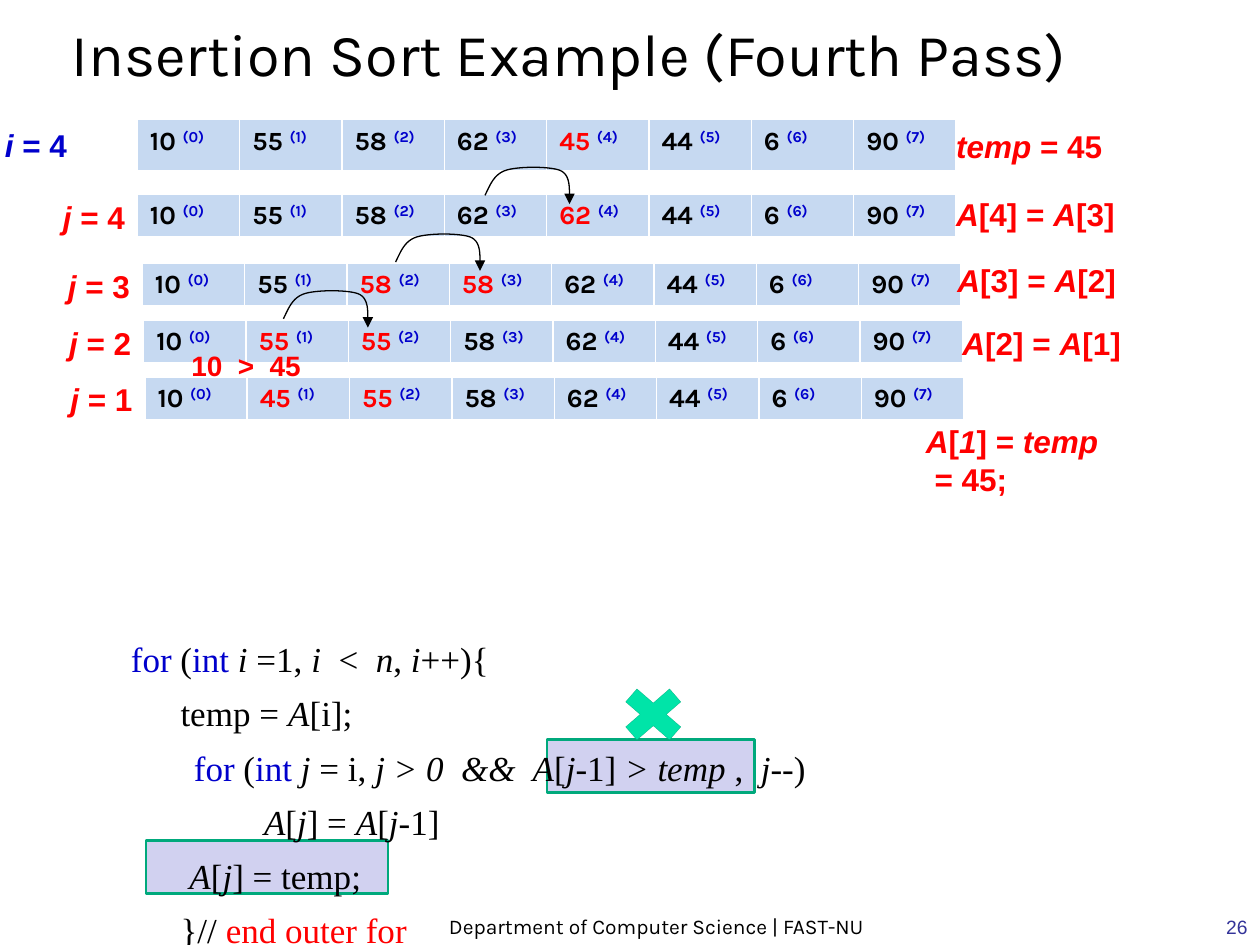
from lxml import etree
from pptx import Presentation
from pptx.dml.color import RGBColor
from pptx.enum.shapes import MSO_CONNECTOR, MSO_SHAPE
from pptx.enum.text import MSO_ANCHOR, MSO_AUTO_SIZE, PP_ALIGN
from pptx.oxml.ns import qn
from pptx.util import Inches, Pt

RECT, CROSS = MSO_SHAPE.RECTANGLE, MSO_SHAPE.MATH_MULTIPLY
LINE = MSO_CONNECTOR.STRAIGHT
BOTTOM, TOP = MSO_ANCHOR.BOTTOM, MSO_ANCHOR.TOP
LEFT, CENTER, RIGHT = PP_ALIGN.LEFT, PP_ALIGN.CENTER, PP_ALIGN.RIGHT
FIT = MSO_AUTO_SIZE.SHAPE_TO_FIT_TEXT

BLACK, WHITE, RED, BLUE = "000000", "FFFFFF", "FF0000", "0000CC"
CELL, LILAC, GREEN, MINT, NAVY = "C6D9F1", "D1D1F0", "00A97C", "00E4A8", "333399"
HOP = [(0, .23), (.04, .15), (.07, .06), (.17, .03), (.27, 0),
       (.5, 0), (.59, .03), (.67, .06), (.67, .15), (.67, .23)]
ROWS = [
    (1.09, .95, .42, [10, 55, 58, 62, 45, 44, 6, 90], {4}),
    (1.09, 1.54, .35, [10, 55, 58, 62, 62, 44, 6, 90], {4}),
    (1.13, 2.09, .35, [10, 55, 58, 58, 62, 44, 6, 90], {2, 3}),
    (1.14, 2.54, .35, [10, 55, 55, 58, 62, 44, 6, 90], {1, 2}),
    (1.15, 2.99, .35, [10, 45, 55, 58, 62, 44, 6, 90], {1, 2}),
]
LABELS = [
    (-.06, .95, .69, "*i* = 4", BLUE),
    (.4, 1.52, .69, "*j* = 4", RED),
    (.44, 2.07, .69, "*j* = 3", RED),
    (.45, 2.52, .69, "*j* = 2", RED),
    (.46, 2.97, .69, "*j* = 1", RED),
    (7.49, .96, 1.36, "*temp* = 45", RED),
    (7.49, 1.5, 1.46, "*A*[4] = *A*[3]", RED),
    (7.5, 2.02, 1.46, "*A*[3] = *A*[2]", RED),
    (7.54, 2.52, 1.46, "*A*[2] = *A*[1]", RED),
    (7.25, 3.3, 1.57, "*A*[*1*] = *temp*\n = 45;", RED),
]
CODE = [
    ("~\tfor~ (~int ~*i *=1, *i  *<  *n*, *i*++){", BLUE),
    ("          temp = *A*[i];", BLUE),
    ("\t\t~for~ (~int ~*j *= i, *j > 0  &&  A*[*j*-1]* > temp *,  *j*--)", BLUE),
    ("\t\t        *A*[*j*] = *A*[*j*-1]", BLUE),
    ("           *A*[*j*] = temp;", BLUE),
    ("          }// ~end outer for~", RED),
]


def rgb(text):
    """Turn a hex string into a colour."""
    return RGBColor.from_string(text)


def add_run(par, text, face, size, color, bold=False, italic=False):
    """Append one formatted run."""
    run = par.add_run()
    run.text = text
    font = run.font
    font.name, font.size = face, Pt(size)
    font.bold, font.italic = bold, italic
    font.color.rgb = rgb(color)
    return run


def add_rich(par, text, face, size, color, accent=BLUE, bold=False):
    """Add runs where *...* is italic and ~...~ takes the accent colour."""
    for i, part in enumerate(text.split("~")):
        for k, bit in enumerate(part.split("*")):
            if bit:
                add_run(par, bit, face, size, accent if i % 2 else color,
                        bold, bool(k % 2))


def add_box(slide, area, wrap=True, anchor=TOP):
    """Add an empty text box and return its frame."""
    frame = slide.shapes.add_textbox(*map(Inches, area)).text_frame
    frame.word_wrap = wrap
    frame.vertical_anchor = anchor
    if not wrap:
        frame.auto_size = FIT
    return frame


def add_text(slide, area, text, face, size, color, align=LEFT):
    """Add one bottom-anchored line of text."""
    par = add_box(slide, area, anchor=BOTTOM).paragraphs[0]
    par.alignment = align
    add_run(par, text, face, size, color)


def add_label(slide, x, y, width, text, color, size=18):
    """Add a bold unwrapped label, one paragraph per line."""
    lines = text.split("\n")
    frame = add_box(slide, (x, y, width, .1 + .3 * len(lines)), wrap=False)
    for i, line in enumerate(lines):
        par = frame.add_paragraph() if i else frame.paragraphs[0]
        add_rich(par, line, "Arial", size, color, bold=True)


def add_edges(cell):
    """Give a cell white borders, the lower one thicker."""
    props = cell._tc.get_or_add_tcPr()
    for i, (side, width) in enumerate((("L", 1), ("R", 1), ("T", 1), ("B", 3))):
        edge = etree.Element(qn("a:ln" + side), w=str(Pt(width)))
        fill = etree.SubElement(edge, qn("a:solidFill"))
        etree.SubElement(fill, qn("a:srgbClr"), val=WHITE)
        props.insert(i, edge)


def add_array(slide, x, y, height, values, marked):
    """Add a one-row table of values with raised indexes."""
    area = map(Inches, (x, y, 6.5, height))
    table = slide.shapes.add_table(1, len(values), *area).table
    table.first_row = table.horz_banding = False
    for i, value in enumerate(values):
        cell = table.cell(0, i)
        cell.fill.solid()
        cell.fill.fore_color.rgb = rgb(CELL)
        add_edges(cell)
        par = cell.text_frame.paragraphs[0]
        add_run(par, f"{value} ", "Karla", 15, RED if i in marked else BLACK, True)
        index = add_run(par, f"({i})", "Karla", 15, BLUE, True)
        index._r.get_or_add_rPr().set("baseline", "30000")


def add_shape(slide, kind, area, fill, width):
    """Add a filled shape with a green outline."""
    shape = slide.shapes.add_shape(kind, *map(Inches, area))
    shape.shadow.inherit = False
    shape.fill.solid()
    shape.fill.fore_color.rgb = rgb(fill)
    shape.line.color.rgb = rgb(GREEN)
    shape.line.width = Pt(width)


def bend(points, steps=12):
    """Sample a chain of cubic curves."""
    for i in range(0, len(points) - 1, 3):
        a, b, c, d = points[i:i + 4]
        for k in range(1, steps + 1):
            t = k / steps
            s = 1 - t
            yield tuple(s**3 * p + 3 * s * s * t * q + 3 * s * t * t * r + t**3 * e
                        for p, q, r, e in zip(a, b, c, d))


def add_hop(slide, x, y):
    """Add a curve that ends in a short downward arrow."""
    dots = [(Inches(x + a), Inches(y + b)) for a, b in HOP]
    path = slide.shapes.build_freeform(*dots[0])
    path.add_line_segments(list(bend(dots)), close=False)
    curve = path.convert_to_shape()
    curve.shadow.inherit = False
    curve.fill.background()
    ends = (x + .67, y + .22, x + .67, y + .3)
    arrow = slide.shapes.add_connector(LINE, *map(Inches, ends))
    for item in (curve, arrow):
        item.line.color.rgb = rgb(BLACK)
        item.line.width = Pt(.75)
    etree.SubElement(arrow.line._get_or_add_ln(), qn("a:tailEnd"), type="triangle")
    etree.SubElement(arrow._element.spPr, qn("a:effectLst"))


def add_code(slide):
    """Add the algorithm listing."""
    frame = add_box(slide, (.64, 5, 7.92, 2.33))
    for i, (line, accent) in enumerate(CODE):
        par = frame.add_paragraph() if i else frame.paragraphs[0]
        props = par._p.get_or_add_pPr()
        props.set("marL", str(Inches(.3)))
        props.set("indent", str(Inches(-.3)))
        par.line_spacing = 1.04
        if i:
            par.space_before = Pt(6)
        add_rich(par, line, "Times New Roman", 20, BLACK, accent)


def main():
    """Build the slide and save it."""
    deck = Presentation()
    deck.slide_width, deck.slide_height = Inches(10), Inches(7.5)
    slide = deck.slides.add_slide(deck.slide_layouts[6])
    add_text(slide, (2.75, 7.08, 4.92, .42),
             "Department of Computer Science | FAST-NU", "Karla", 12, BLACK, CENTER)
    for area in ((4.34, 5.87, 1.65, .42), (1.16, 6.67, 1.92, .42)):
        add_shape(slide, RECT, area, LILAC, 1.5)
    add_text(slide, (.47, .02, 8.28, .73),
             "Insertion Sort Example (Fourth Pass)", "Karla", 34, BLACK)
    for row in ROWS:
        add_array(slide, *row)
    for x, y in ((3.85, 1.32), (3.14, 1.85), (2.25, 2.3)):
        add_hop(slide, x, y)
    for label in LABELS:
        add_label(slide, *label)
    add_label(slide, 1.42, 2.72, 1.08, "10  >  45", RED, 16)
    add_code(slide)
    add_text(slide, (7.92, 7, 2.08, .5), "26", "Arial", 11, NAVY, RIGHT)
    add_shape(slide, CROSS, (4.85, 5.38, .67, .58), MINT, .1)
    deck.save("out.pptx")


if __name__ == "__main__":
    main()
